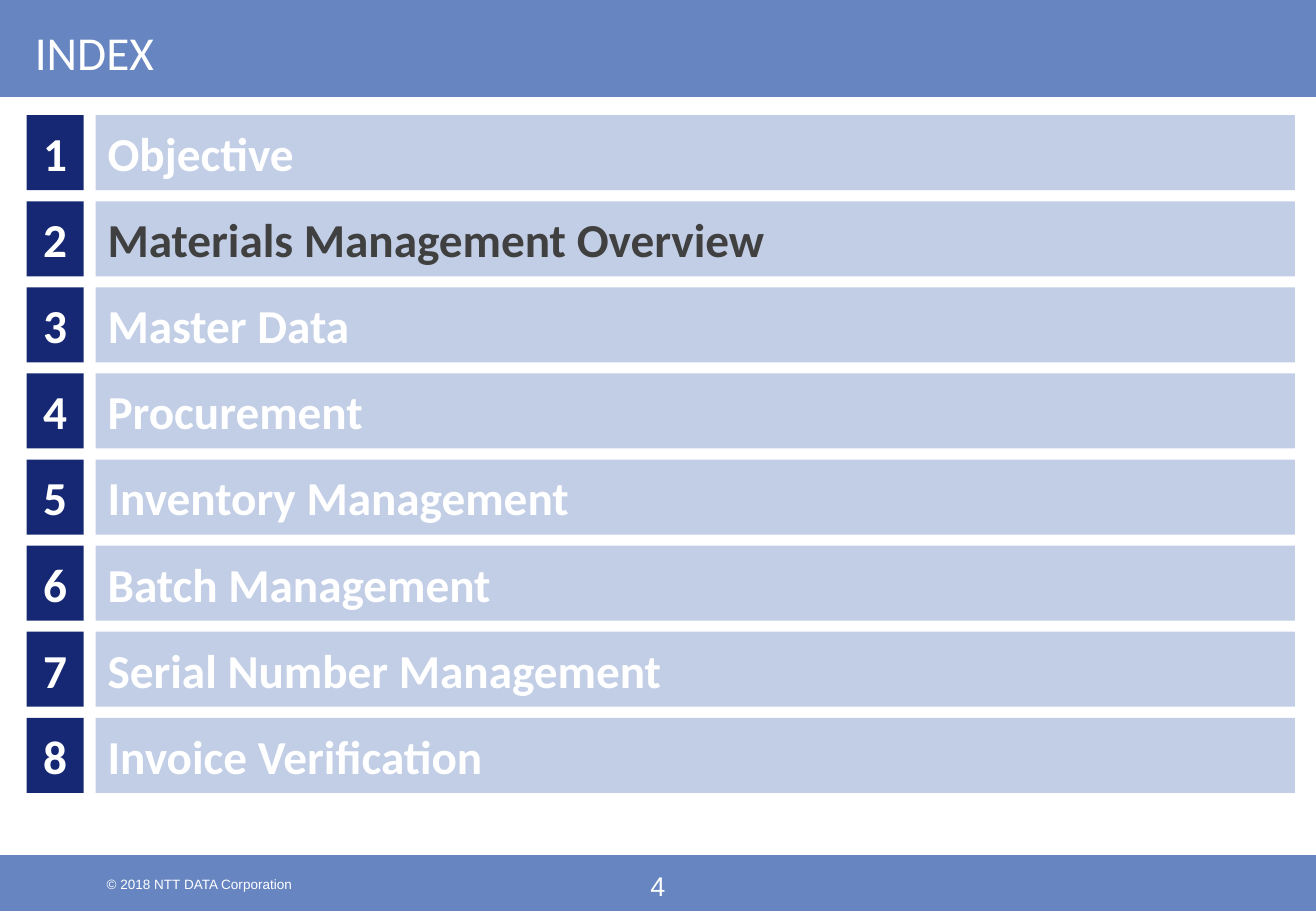
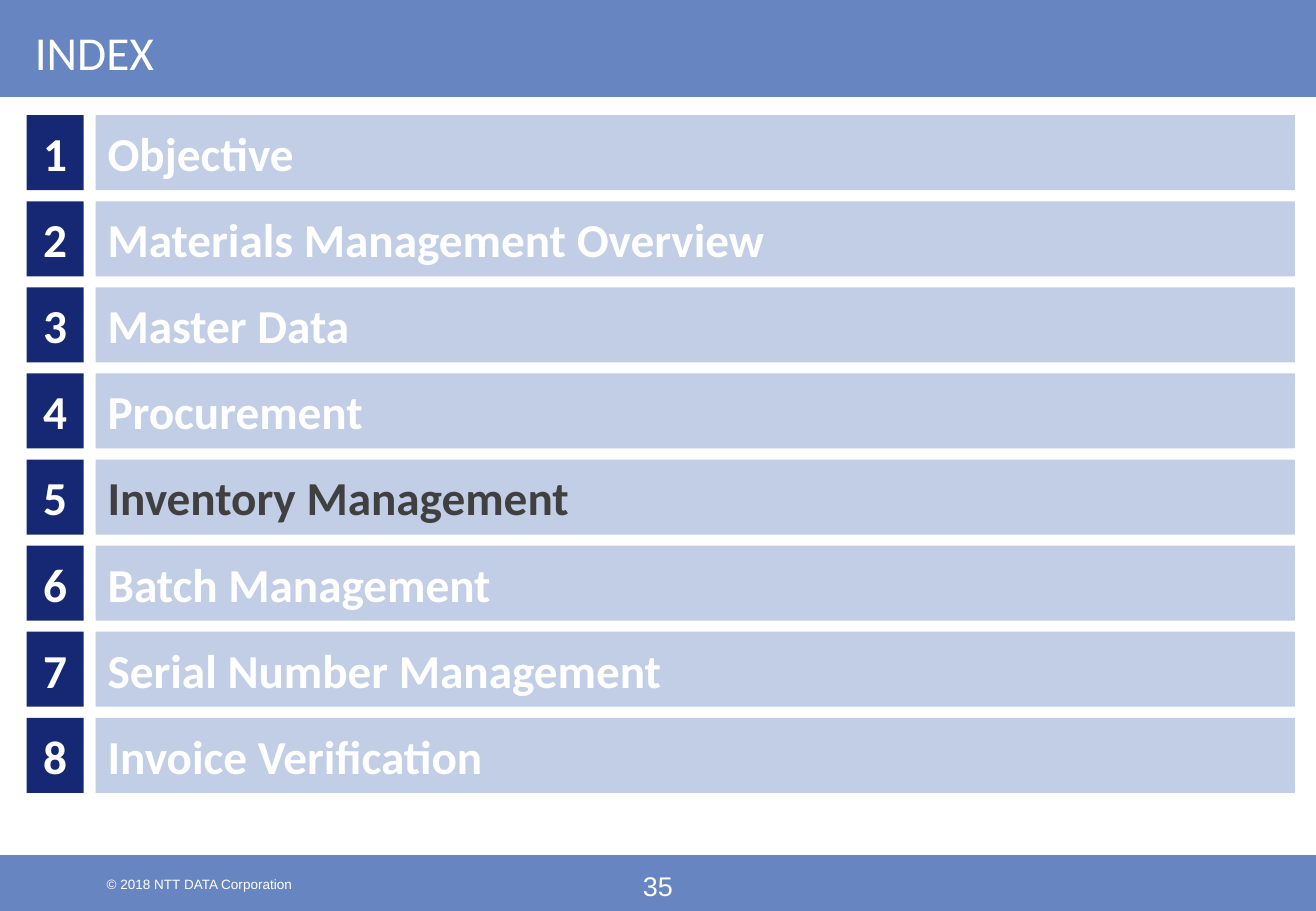
from dataclasses import dataclass

import pptx
import pptx.dml.color
import pptx.enum.shapes
import pptx.enum.text
import pptx.shapes.autoshape
import pptx.slide
import pptx.util

Cm = pptx.util.Cm
Align = pptx.enum.text.PP_ALIGN
Anchor = pptx.enum.text.MSO_ANCHOR

PAGE_WIDTH, PAGE_HEIGHT = 27.51, 19.05
BAND_BLUE, NAVY, PALE_BLUE = "6785C1", "162873", "C2CEE6"
WHITE, DARK_GREY = "FFFFFF", "404040"

TOPICS = (
    "Objective",
    "Materials Management Overview",
    "Master Data",
    "Procurement",
    "Inventory Management",
    "Batch Management",
    "Serial Number Management",
    "Invoice Verification",
)
FIRST_ROW_TOP, ROW_PITCH, ROW_HEIGHT = 2.41, 1.8, 1.57


@dataclass(frozen=True)
class Area:
    left: float
    top: float
    width: float
    height: float

    def lengths(self) -> tuple[int, int, int, int]:
        return Cm(self.left), Cm(self.top), Cm(self.width), Cm(self.height)


@dataclass(frozen=True)
class TextStyle:
    size: int
    font: str = "Calibri"
    color: str = WHITE
    bold: bool = False
    align: Align = Align.LEFT
    anchor: Anchor = Anchor.MIDDLE
    inset_top: float = 0.13
    inset_bottom: float = 0.13


@dataclass(frozen=True)
class IndexPage:
    number: int
    current_topic: str


TITLE = TextStyle(28, inset_top=0.3)
ROW_NUMBER = TextStyle(28, bold=True, align=Align.CENTER)
TOPIC = TextStyle(28, bold=True)
CURRENT_TOPIC = TextStyle(28, bold=True, color=DARK_GREY)
COPYRIGHT = TextStyle(8, "Arial", anchor=Anchor.TOP, inset_top=0, inset_bottom=0)
PAGE_NUMBER = TextStyle(16, "Arial", align=Align.CENTER, anchor=Anchor.TOP,
                        inset_top=0, inset_bottom=0)

PAGES = (
    IndexPage(4, "Materials Management Overview"),
    IndexPage(35, "Inventory Management"),
)


def rgb(color: str) -> pptx.dml.color.RGBColor:
    return pptx.dml.color.RGBColor.from_string(color)


def write(box: pptx.shapes.autoshape.Shape, text: str, style: TextStyle) -> None:
    frame = box.text_frame
    frame.word_wrap = True
    frame.vertical_anchor = style.anchor
    frame.margin_left = frame.margin_right = Cm(0.25)
    frame.margin_top = Cm(style.inset_top)
    frame.margin_bottom = Cm(style.inset_bottom)
    para = frame.paragraphs[0]
    para.text = text
    para.alignment = style.align
    para.font.name = style.font
    para.font.size = pptx.util.Pt(style.size)
    para.font.bold = style.bold
    para.font.color.rgb = rgb(style.color)


def add_block(page: pptx.slide.Slide, area: Area, fill: str) -> pptx.shapes.autoshape.Shape:
    block = page.shapes.add_shape(pptx.enum.shapes.MSO_SHAPE.RECTANGLE, *area.lengths())
    block.shadow.inherit = False
    block.fill.solid()
    block.fill.fore_color.rgb = rgb(fill)
    block.line.fill.background()
    return block


def add_text(page: pptx.slide.Slide, area: Area, text: str, style: TextStyle) -> None:
    write(page.shapes.add_textbox(*area.lengths()), text, style)


def add_frame(page: pptx.slide.Slide, title: str, number: int) -> None:
    add_block(page, Area(0, 17.88, PAGE_WIDTH, 1.17), BAND_BLUE)
    add_text(page, Area(1.98, 18.31, 8.74, 0.33), "© 2018 NTT DATA Corporation", COPYRIGHT)
    add_text(page, Area(12.83, 18.19, 1.85, 0.69), str(number), PAGE_NUMBER)
    add_block(page, Area(0, 0, PAGE_WIDTH, 2.03), BAND_BLUE)
    add_text(page, Area(0.48, 0, 26.59, 2.01), title, TITLE)


def add_index(page: pptx.slide.Slide, current_topic: str) -> None:
    for row, topic in enumerate(TOPICS):
        top = FIRST_ROW_TOP + row * ROW_PITCH
        number_block = add_block(page, Area(0.56, top, 1.19, ROW_HEIGHT), NAVY)
        write(number_block, str(row + 1), ROW_NUMBER)
        topic_block = add_block(page, Area(2, top, 25.07, ROW_HEIGHT), PALE_BLUE)
        write(topic_block, topic, CURRENT_TOPIC if topic == current_topic else TOPIC)


def main() -> None:
    deck = pptx.Presentation()
    deck.slide_width, deck.slide_height = Cm(PAGE_WIDTH), Cm(PAGE_HEIGHT)
    for index_page in PAGES:
        page = deck.slides.add_slide(deck.slide_layouts[6])
        add_frame(page, "INDEX", index_page.number)
        add_index(page, index_page.current_topic)
    deck.save("out.pptx")


if __name__ == "__main__":
    main()
